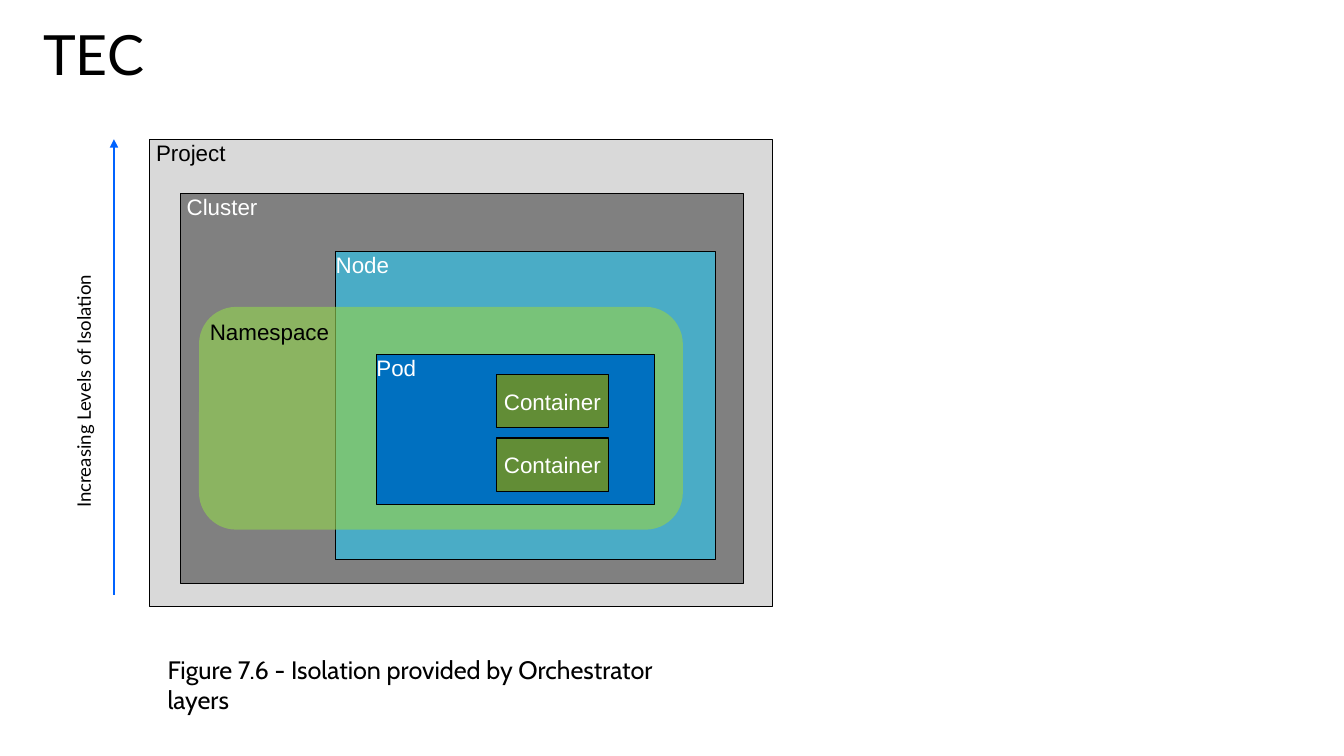
from lxml.etree import SubElement
from pptx import Presentation
from pptx.dml.color import RGBColor
from pptx.enum.shapes import MSO_CONNECTOR, MSO_SHAPE
from pptx.enum.text import MSO_ANCHOR as ANCHOR, MSO_AUTO_SIZE as AUTO, PP_ALIGN as ALIGN
from pptx.oxml.ns import qn
from pptx.util import Pt

COLORS = {
    "black": "000000", "white": "FFFFFF", "project": "D9D9D9",
    "cluster": "808080", "node": "4AACC6", "namespace": "92D051",
    "pod": "0070C0", "container": "628D36", "arrow": "0063FF",
}
CONTAINER_COUNT = 2
CONTAINER_PITCH = 45.4


def rgb(name):
    return RGBColor.from_string(COLORS[name])


def set_attrs(obj, values):
    for name, value in values.items():
        setattr(obj, name, value)


def write(sp, text, font, size, color="black", align=ALIGN.LEFT, spacing=None, **frame):
    tf = sp.text_frame
    set_attrs(tf, frame)
    p = tf.paragraphs[0]
    set_attrs(p, {"alignment": align, "line_spacing": spacing})
    r = p.add_run()
    r.text = text
    set_attrs(r.font, {"name": font, "size": Pt(size)})
    r.font.color.rgb = rgb(color)


def add_label(s, box, text, font, size, **style):
    sp = s.shapes.add_textbox(*map(Pt, box))
    write(sp, text, font, size, **style)
    return sp


def add_layer(s, box, text, fill, color="white", indent=0, shape=MSO_SHAPE.RECTANGLE,
              outlined=True, align=ALIGN.LEFT, anchor=ANCHOR.TOP):
    sp = s.shapes.add_shape(shape, *map(Pt, box))
    sp.shadow.inherit = False
    sp.fill.solid()
    sp.fill.fore_color.rgb = rgb(fill)
    if outlined:
        sp.line.color.rgb = rgb("black")
        sp.line.width = Pt(0.75)
    else:
        sp.line.fill.background()
    write(sp, text, "Arial", 16, color, align, word_wrap=True, vertical_anchor=anchor,
          margin_left=Pt(indent), margin_right=0, margin_top=0, margin_bottom=0)
    return sp


def set_opacity(sp, percent):
    fill_color = sp.fill._xPr.find(qn("a:solidFill"))[0]
    SubElement(fill_color, qn("a:alpha"), val=str(percent * 1000))


def add_arrow(s, x1, y1, x2, y2):
    line = s.shapes.add_connector(MSO_CONNECTOR.STRAIGHT, Pt(x1), Pt(y1), Pt(x2), Pt(y2))
    line.line.color.rgb = rgb("arrow")
    line.line.width = Pt(2)
    SubElement(line.line._get_or_add_ln(), qn("a:tailEnd"), type="triangle")
    SubElement(line._element.spPr, qn("a:effectLst"))


def main():
    prs = Presentation()
    set_attrs(prs, {"slide_width": Pt(960), "slide_height": Pt(540)})
    s = prs.slides.add_slide(prs.slide_layouts[6])

    add_label(s, (23.8, 20.9, 432, 40.3), "TEC", "Lato", 39.6, spacing=0.9,
              word_wrap=True, vertical_anchor=ANCHOR.MIDDLE)

    add_layer(s, (107, 99.4, 444.6, 334.1), "Project", "project", "black", indent=4.45)
    add_layer(s, (128.9, 138.2, 402.1, 278.6), "Cluster", "cluster", indent=4.45)
    add_layer(s, (239.8, 179.5, 271.4, 220.1), "Node", "node")
    namespace = add_layer(s, (142.2, 219.2, 345.6, 159.1), "Namespace", "namespace", "black",
                          shape=MSO_SHAPE.ROUNDED_RECTANGLE, outlined=False)
    set_opacity(namespace, 65)
    add_layer(s, (268.9, 253.1, 198.7, 107.3), "Pod", "pod")
    for i in range(CONTAINER_COUNT):
        add_layer(s, (354.6, 267.5 + i * CONTAINER_PITCH, 79.9, 38.2), "Container",
                  "container", align=ALIGN.CENTER, anchor=ANCHOR.MIDDLE)

    add_arrow(s, 81.4, 424.8, 81.4, 99.4)
    axis = add_label(s, (-31, 266.8, 182.2, 23.8), "Increasing Levels of Isolation", "Lato", 13.3,
                     word_wrap=False, auto_size=AUTO.SHAPE_TO_FIT_TEXT)
    axis.rotation = 270

    add_label(s, (112.6, 463.7, 398.2, 28.8),
              "Figure 7.6 - Isolation provided by Orchestrator layers", "Cabin", 18,
              word_wrap=True, auto_size=AUTO.SHAPE_TO_FIT_TEXT)

    prs.save("out.pptx")


if __name__ == "__main__":
    main()
